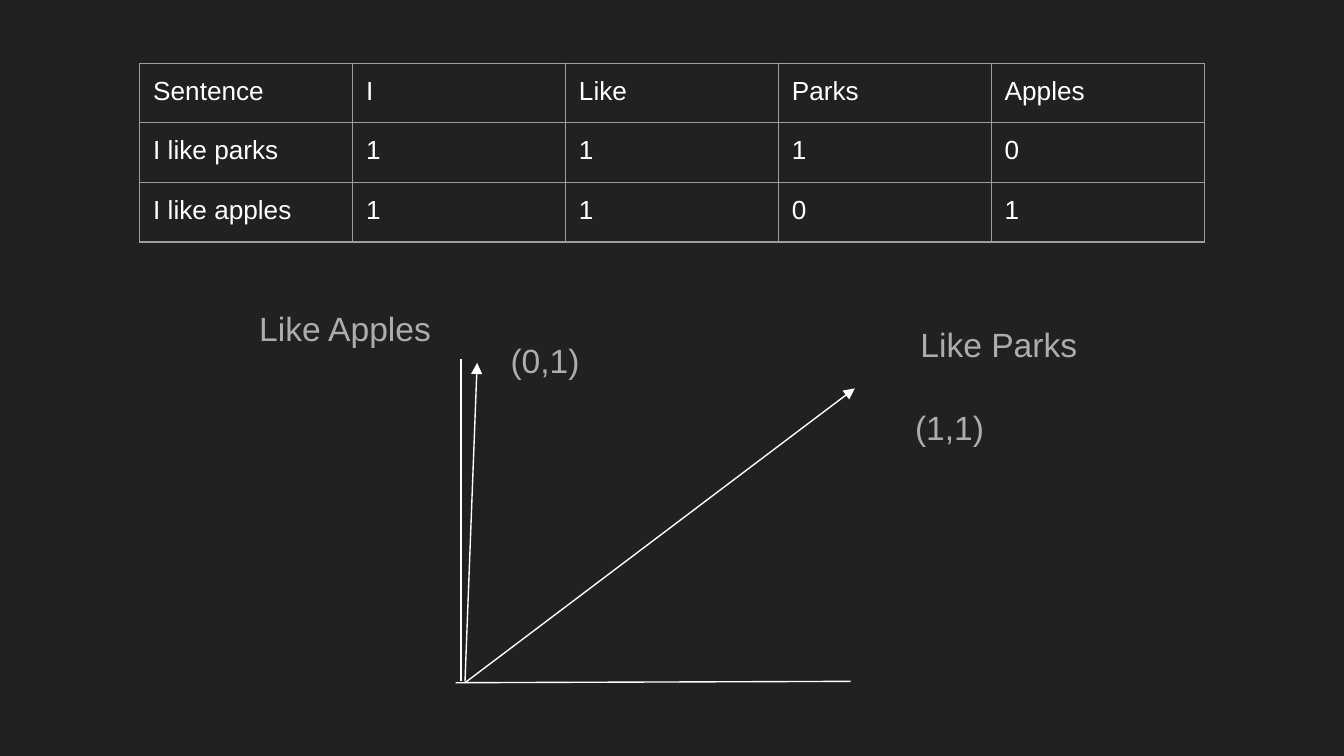
import pptx
import pptx.dml.color
import pptx.enum.shapes
import pptx.enum.text
import pptx.oxml
import pptx.oxml.ns
import pptx.util
from lxml import etree

Inches, Pt = pptx.util.Inches, pptx.util.Pt
RGBColor = pptx.dml.color.RGBColor

# Content
WORD_COUNTS = [
    ("Sentence", "I", "Like", "Parks", "Apples"),
    ("I like parks", "1", "1", "1", "0"),
    ("I like apples", "1", "1", "0", "1"),
]
AXES = [((3.39, 5.08), (6.33, 5.07)), ((3.43, 5.07), (3.43, 2.67))]
VECTORS = [((3.46, 5.08), (6.36, 2.89)), ((3.46, 5.07), (3.55, 2.7))]
LABELS = [  # text, left, top, width
    ("(1,1)", 6.71, 2.93, 3.29),
    ("(0,1)", 3.7, 2.43, 1.12),
    ("Like Apples", 1.83, 2.19, 1.56),
    ("Like Parks", 6.75, 2.31, 1.48),
]

# Style
SLIDE_WIDTH = Inches(10)
SLIDE_HEIGHT = SLIDE_WIDTH * 9 // 16
BACKGROUND = RGBColor(0x21, 0x21, 0x21)
WHITE = RGBColor(0xFF, 0xFF, 0xFF)
LABEL_GREY = RGBColor(0xAD, 0xAD, 0xAD)
BORDER_GREY = RGBColor(0x9E, 0x9E, 0x9E)
FONT = "Arial"
LINE_WIDTH = Pt(0.75)
INSET = Inches(0.1)
TABLE_LEFT, TABLE_TOP = Inches(1.04), Inches(0.47)
TABLE_WIDTH, TABLE_HEIGHT = Inches(7.92), Inches(1.33)
LABEL_HEIGHT = 0.5


def write(frame, text, size, color):
    frame.word_wrap = True
    run = frame.paragraphs[0].add_run()
    run.text = text
    run.font.name, run.font.size = FONT, Pt(size)
    run.font.color.rgb = color


def set_insets(holder):
    holder.margin_left = holder.margin_right = INSET
    holder.margin_top = holder.margin_bottom = INSET


def add_borders(cell):
    properties = cell._tc.get_or_add_tcPr()
    for position, side in enumerate(("lnL", "lnR", "lnT", "lnB")):
        border = pptx.oxml.parse_xml(
            f'<a:{side} {pptx.oxml.ns.nsdecls("a")} w="{LINE_WIDTH}"><a:solidFill>'
            f'<a:srgbClr val="{BORDER_GREY}"/></a:solidFill></a:{side}>')
        properties.insert(position, border)


def add_line(slide, start, end, arrow):
    connector = slide.shapes.add_connector(
        pptx.enum.shapes.MSO_CONNECTOR.STRAIGHT, *map(Inches, start + end))
    connector.line.color.rgb = WHITE
    connector.line.width = LINE_WIDTH
    if arrow:
        etree.SubElement(connector.line._get_or_add_ln(),
                         pptx.oxml.ns.qn("a:tailEnd"), type="triangle", w="med", len="med")
    etree.SubElement(connector._element.spPr, pptx.oxml.ns.qn("a:effectLst"))


presentation = pptx.Presentation()
presentation.slide_width, presentation.slide_height = SLIDE_WIDTH, SLIDE_HEIGHT
slide = presentation.slides.add_slide(presentation.slide_layouts[6])
slide.background.fill.solid()
slide.background.fill.fore_color.rgb = BACKGROUND

# Word count table, with equal columns and rows
counts = slide.shapes.add_table(
    len(WORD_COUNTS), len(WORD_COUNTS[0]),
    TABLE_LEFT, TABLE_TOP, TABLE_WIDTH, TABLE_HEIGHT).table
counts.first_row = counts.horz_banding = False
for r, words in enumerate(WORD_COUNTS):
    for c, word in enumerate(words):
        cell = counts.cell(r, c)
        cell.fill.background()
        set_insets(cell)
        add_borders(cell)
        write(cell.text_frame, word, 14, WHITE)

# Axes and sentence vectors
for start, end in AXES:
    add_line(slide, start, end, arrow=False)
for start, end in VECTORS:
    add_line(slide, start, end, arrow=True)

# Vector labels
for text, left, top, width in LABELS:
    label = slide.shapes.add_textbox(
        *map(Inches, (left, top, width, LABEL_HEIGHT))).text_frame
    set_insets(label)
    write(label, text, 18, LABEL_GREY)
    label.auto_size = pptx.enum.text.MSO_AUTO_SIZE.SHAPE_TO_FIT_TEXT

presentation.save("out.pptx")
